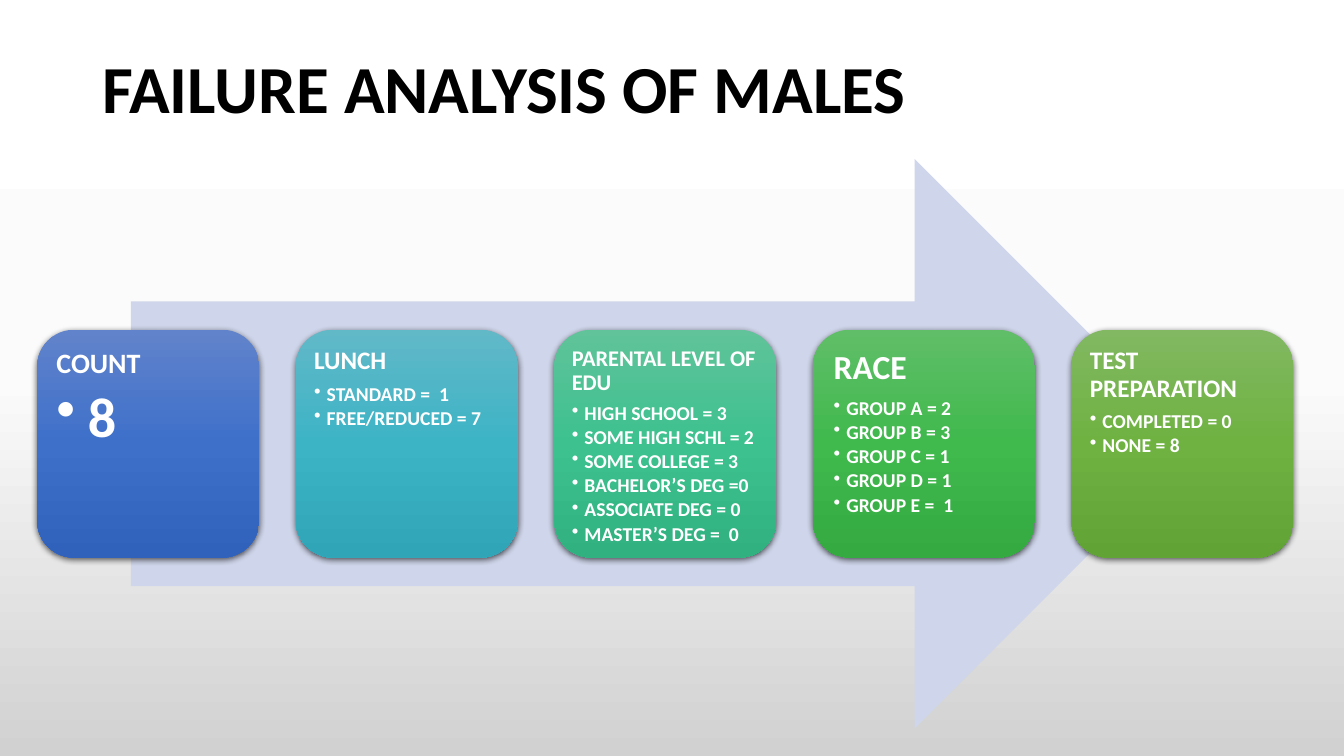
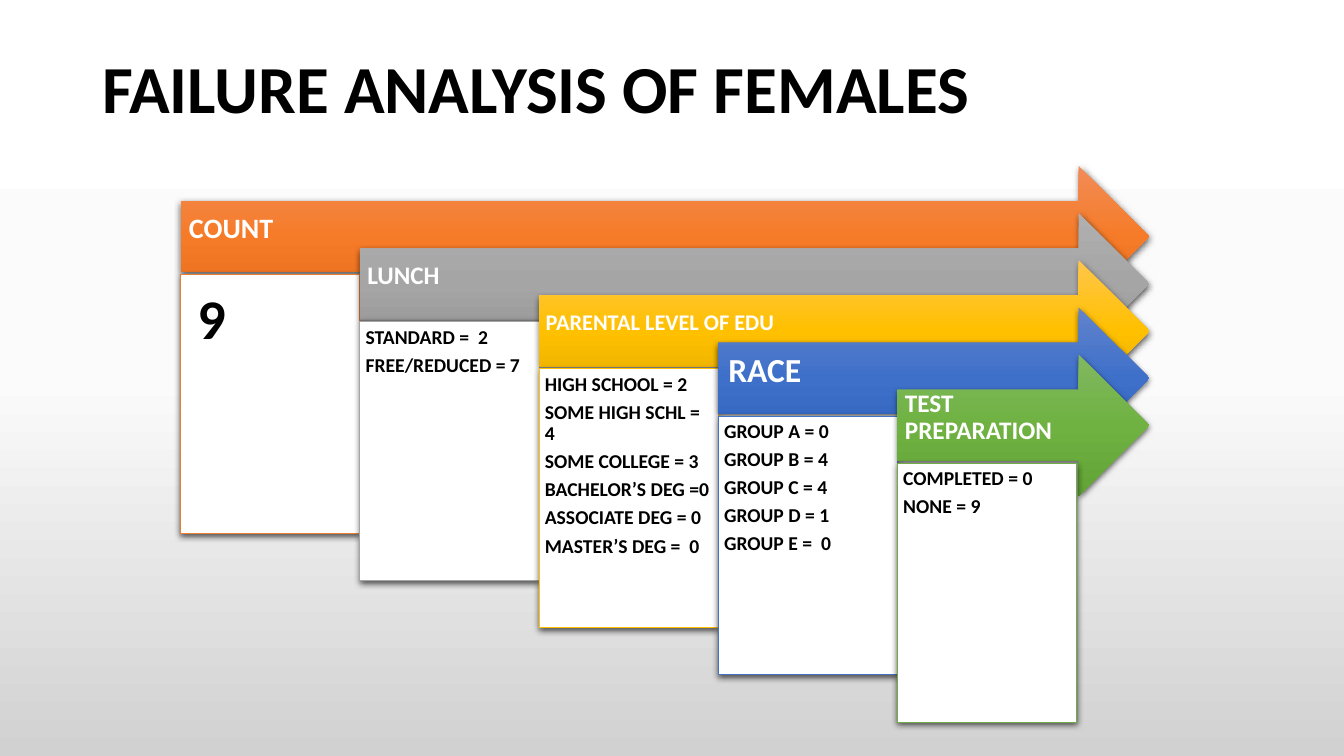
import copy
from dataclasses import dataclass

import pptx
import pptx.dml.color
import pptx.enum.dml
import pptx.enum.shapes
import pptx.enum.text
import pptx.oxml
import pptx.oxml.ns
import pptx.util

Pt = pptx.util.Pt
qn = pptx.oxml.ns.qn
SHAPE = pptx.enum.shapes.MSO_SHAPE
ANCHOR = pptx.enum.text.MSO_ANCHOR

# Content: heading, heading size, body size, then (line, males, females)
CATEGORIES = [
    ("COUNT", 20, 40, [("{}", 8, 9)]),
    ("LUNCH", 18, 14, [("STANDARD =  {}", 1, 2), ("FREE/REDUCED = {}", 7, 7)]),
    ("PARENTAL LEVEL OF EDU", 16, 14, [
        ("HIGH SCHOOL = {}", 3, 2),
        ("SOME HIGH SCHL = {}", 2, 4),
        ("SOME COLLEGE = {}", 3, 3),
        ("BACHELOR’S DEG ={}", 0, 0),
        ("ASSOCIATE DEG = {}", 0, 0),
        ("MASTER’S DEG =  {}", 0, 0),
    ]),
    ("RACE", 24, 14, [
        ("GROUP A = {}", 2, 0),
        ("GROUP B = {}", 3, 4),
        ("GROUP C = {}", 1, 4),
        ("GROUP D = {}", 1, 1),
        ("GROUP E =  {}", 1, 0),
    ]),
    ("TEST PREPARATION", 18, 14, [("COMPLETED = {}", 0, 0), ("NONE = {}", 8, 9)]),
]
MALES, FEMALES = 1, 2


@dataclass(frozen=True)
class Theme:
    font: str = "Calibri"
    title_size: int = 48
    dark: str = "000000"
    light: str = "FFFFFF"
    pale: str = "CFD5EA"
    backdrop: tuple = ("FFFFFF", "FBFBFB", "D1D1D1")
    blue: tuple = ("6183CB", "3E70CA", "3062BB")
    teal: tuple = ("61B8C7", "3DB4C6", "30A5B7")
    mint: tuple = ("60C39A", "3DC18F", "31B080")
    green: tuple = ("60BE68", "40B94D", "34AA41")
    olive: tuple = ("81B861", "6FB242", "62A336")
    orange: tuple = ("F18C57", "F67B28", "E56C19")
    gray: tuple = ("AFAFAF", "A5A5A5", "939393")
    gold: tuple = ("FFC64B", "FFC000", "E3AB00")
    pad: float = 0.3          # inset, as a share of type size
    heading_gap: float = 0.35  # space after, as a share of type size
    bullet_gap: float = 0.15


THEME = Theme()
CARD_FILLS = [THEME.blue, THEME.teal, THEME.mint, THEME.green, THEME.olive]
STEP_FILLS = [THEME.orange, THEME.gray, THEME.gold, THEME.blue, THEME.olive]
STEP_LINES = ["ED7D31", "A5A5A5", "FFC000", "4472C4", "70AD47"]


def rgb(value):
    return pptx.dml.color.RGBColor.from_string(value)


def paint(fill, colors):
    """Solid for one colour, top-to-bottom gradient for three."""
    if isinstance(colors, str):
        fill.solid()
        fill.fore_color.rgb = rgb(colors)
        return
    fill.gradient()
    fill.gradient_angle = 270
    stops = fill._xPr.find(qn("a:gradFill")).find(qn("a:gsLst"))
    stops.append(copy.deepcopy(stops[-1]))
    for stop, color, position in zip(fill.gradient_stops, colors, (0, 0.5, 1)):
        stop.color.rgb = rgb(color)
        stop.position = position


def add_panel(slide, preset, box, colors, line=None, shadow=True):
    panel = slide.shapes.add_shape(preset, *map(Pt, box))
    panel.shadow.inherit = False
    paint(panel.fill, colors)
    if line:
        panel.line.color.rgb = rgb(line)
        panel.line.width = Pt(0.5)
    else:
        panel.line.fill.background()
    if shadow:
        panel._element.spPr.find(qn("a:effectLst")).append(pptx.oxml.parse_xml(
            '<a:outerShdw xmlns:a="http://schemas.openxmlformats.org/drawingml/2006/main"'
            f' blurRad="{Pt(4.5)}" dist="{Pt(1.5)}" dir="5400000" algn="ctr" rotWithShape="0">'
            '<a:srgbClr val="000000"><a:alpha val="63000"/></a:srgbClr></a:outerShdw>'))
    return panel


def write(shape, lines, color, margins=None, anchor=ANCHOR.TOP):
    """Each line is (text, size, gap share, bullet indent)."""
    frame = shape.text_frame
    frame.word_wrap = True
    frame.vertical_anchor = anchor
    pad = lines[0][1] * THEME.pad
    (frame.margin_left, frame.margin_top,
     frame.margin_right, frame.margin_bottom) = map(Pt, margins or (pad,) * 4)
    for number, (text, size, gap, hang) in enumerate(lines):
        paragraph = frame.add_paragraph() if number else frame.paragraphs[0]
        paragraph.text = text
        paragraph.alignment = pptx.enum.text.PP_ALIGN.LEFT
        paragraph.line_spacing = 0.9
        paragraph.space_after = Pt(size * gap)
        if hang:
            properties = paragraph._p.get_or_add_pPr()
            properties.set("marL", str(Pt(hang)))
            properties.set("indent", str(-Pt(hang)))
            bullet = properties.makeelement(qn("a:buChar"), {"char": "•"})
            properties.append(bullet)
        font = paragraph.font
        font.name, font.size, font.bold = THEME.font, Pt(size), True
        font.color.rgb = rgb(color)


def new_slide(deck, title):
    slide = deck.slides.add_slide(deck.slide_layouts[6])
    paint(slide.background.fill, THEME.backdrop)
    heading = slide.shapes.add_textbox(Pt(66), Pt(28.75), Pt(828), Pt(73))
    write(heading, [(title, THEME.title_size, 0, 0)], THEME.dark,
          (7.2, 3.6, 7.2, 3.6), ANCHOR.MIDDLE)
    return slide


def build_males(deck):
    slide = new_slide(deck, "FAILURE ANALYSIS OF MALES")
    add_panel(slide, SHAPE.RIGHT_ARROW, (93.6, 113.5, 763.2, 407), THEME.pale, shadow=False)
    left, top, width, height, pitch = 26.5, 235.5, 158.6, 162.8, 184.7
    for column, (heading, size, body_size, facts) in enumerate(CATEGORIES):
        card = add_panel(slide, SHAPE.ROUNDED_RECTANGLE,
                         (left + column * pitch, top, width, height), CARD_FILLS[column])
        hang = 22.5 if body_size > size else 9
        lines = [(heading, size, THEME.heading_gap, 0)]
        lines += [(fact[0].format(fact[MALES]), body_size, THEME.bullet_gap, hang)
                  for fact in facts]
        write(card, lines, THEME.light)


def build_females(deck):
    slide = new_slide(deck, "FAILURE ANALYSIS OF FEMALES")
    left, top, width, drop, tip = 129, 118.5, 128, 33.7, 821
    arrow_height, body_offset, body_height = 101, 77.5, 185
    for step, (heading, size, body_size, facts) in enumerate(CATEGORIES):
        x, y = left + step * width, top + step * drop
        arrow = add_panel(slide, SHAPE.RIGHT_ARROW, (x, y, tip - x, arrow_height),
                          STEP_FILLS[step])
        pad = size * THEME.pad
        write(arrow, [(heading, size, THEME.heading_gap, 0)], THEME.light,
              (pad, pad, 20, 16), ANCHOR.MIDDLE)
        body = add_panel(slide, SHAPE.RECTANGLE, (x, y + body_offset, width, body_height),
                         THEME.light, STEP_LINES[step])
        write(body, [(fact[0].format(fact[FEMALES]), body_size, THEME.heading_gap, 0)
                     for fact in facts], THEME.dark)


def main():
    deck = pptx.Presentation()
    deck.slide_width, deck.slide_height = Pt(960), Pt(540)
    build_males(deck)
    build_females(deck)
    deck.save("out.pptx")


if __name__ == "__main__":
    main()
